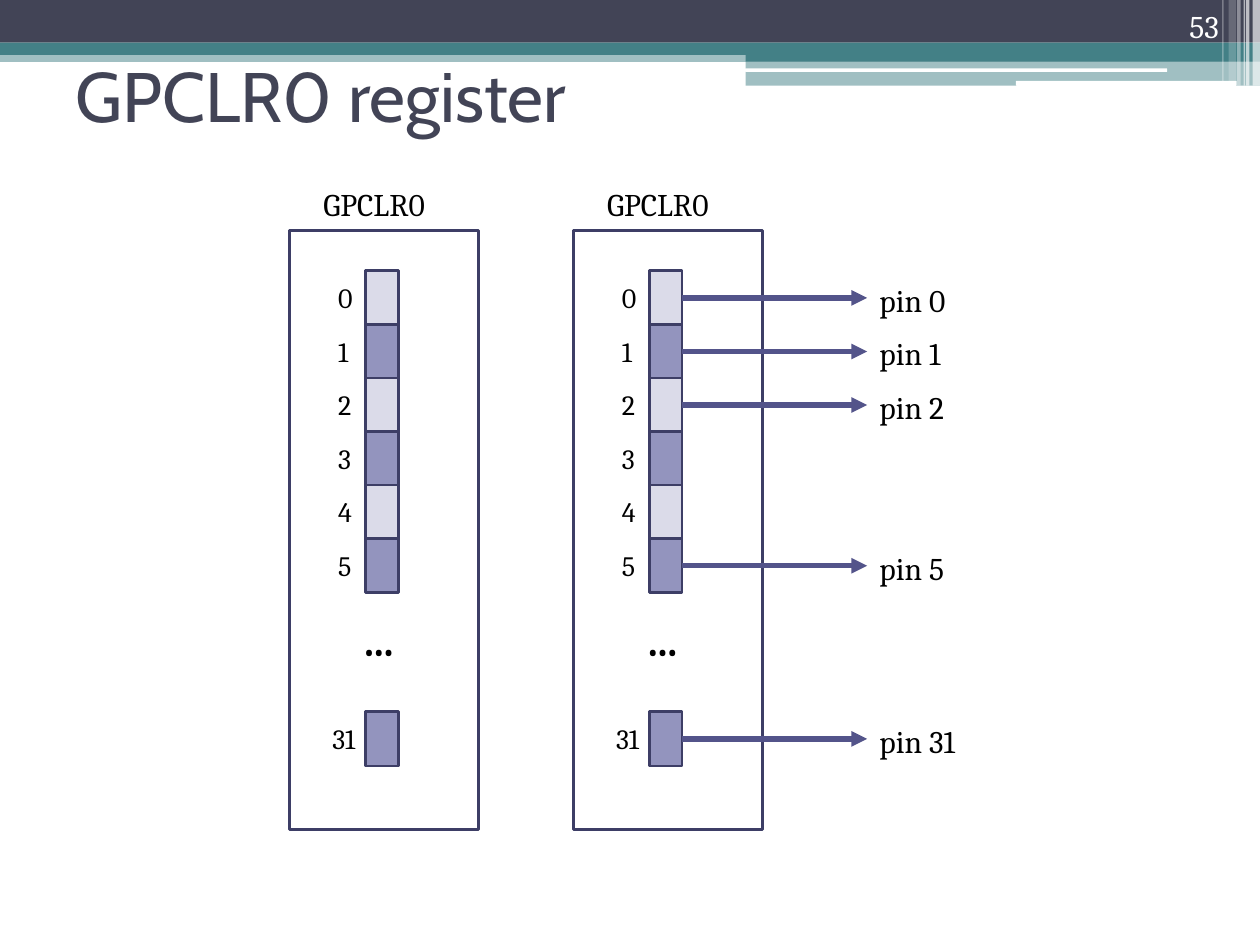
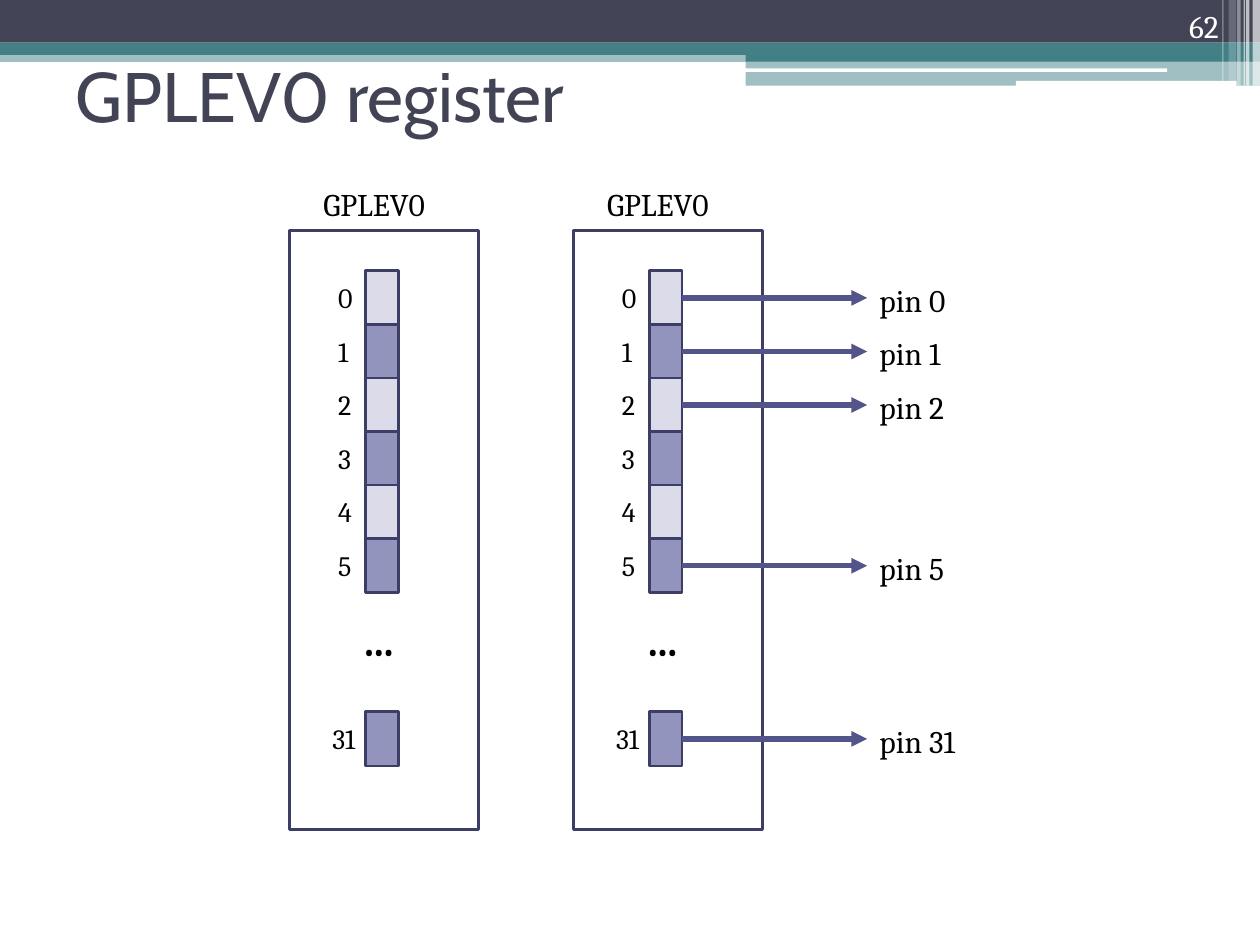
from dataclasses import dataclass

from lxml import etree
from pptx import Presentation
from pptx.dml.color import RGBColor
from pptx.enum.shapes import MSO_CONNECTOR, MSO_SHAPE
from pptx.enum.text import MSO_ANCHOR, MSO_AUTO_SIZE, PP_ALIGN
from pptx.oxml.ns import qn
from pptx.util import Cm, Pt

RECT = MSO_SHAPE.RECTANGLE
ROUNDED = MSO_SHAPE.ROUNDED_RECTANGLE
STRAIGHT = MSO_CONNECTOR.STRAIGHT
MIDDLE = MSO_ANCHOR.MIDDLE
TOP = MSO_ANCHOR.TOP
BOTTOM = MSO_ANCHOR.BOTTOM
NO_AUTOFIT = MSO_AUTO_SIZE.NONE
FIT_SHAPE = MSO_AUTO_SIZE.SHAPE_TO_FIT_TEXT
LEFT = PP_ALIGN.LEFT
RIGHT = PP_ALIGN.RIGHT
RIGHT_SIDE = 3
TITLE_ONLY = 5


@dataclass(frozen=True)
class Theme:
    navy: str = "424456"
    teal: str = "438086"
    white: str = "FFFFFF"
    black: str = "000000"
    even_bit: str = "DBDBE9"
    odd_bit: str = "9394BE"
    outline: str = "3D3E66"
    arrow: str = "53548A"
    title_font: str = "Cabin"
    body_font: str = "Cambria"
    title_size: int = 40
    ellipsis_size: int = 24
    label_size: int = 18
    bit_size: int = 16
    outline_width: float = 1.5
    arrow_width: float = 3


THEME = Theme()

HEADER_BANDS = [
    (RECT, 0, 1.02, 25.4, 0.23, THEME.teal, 50),
    (RECT, 0, 0, 25.4, 0.86, THEME.navy, 100),
    (RECT, 0, 0.86, 25.4, 0.25, THEME.teal, 100),
    (RECT, 15.03, 0.99, 10.37, 0.25, THEME.teal, 100),
    (RECT, 15.03, 1.23, 10.37, 0.5, THEME.teal, 50),
    (ROUNDED, 15.02, 1.38, 8.51, 0.07, THEME.white, 100),
    (ROUNDED, 20.48, 1.63, 4.45, 0.1, THEME.white, 100),
    (RECT, 25.25, 0, 0.15, 1.73, THEME.white, 65),
    (RECT, 25.12, 0, 0.07, 1.73, THEME.white, 65),
    (RECT, 25.07, 0, 0.03, 1.73, THEME.white, 60),
    (RECT, 24.94, 0, 0.07, 1.73, THEME.white, 40),
    (RECT, 24.77, 0, 0.15, 1.63, THEME.white, 20),
    (RECT, 24.64, 0, 0.03, 1.63, THEME.white, 30),
]

REGISTER_SLIDES = [("GPCLR0", 53), ("GPLEV0", 62)]
REGISTER_LEFTS = (5.84, 11.56)
REGISTER_TOP = 4.65
BITS = (0, 1, 2, 3, 4, 5, 31)
WIRED_BITS = (0, 1, 2, 5, 31)
CELL_TOP = 5.46
CELL_PITCH = 1.08
LAST_CELL_TOP = 14.35
CELL_WIDTH = 0.66
CELL_HEIGHT = 1.09
PIN_LEFT = 17.48


def rgb(value):
    return RGBColor.from_string(value)


def style_text(frame, text, size, color=THEME.black, font=THEME.body_font,
               align=LEFT, anchor=TOP, bold=False):
    frame.text = text
    frame.vertical_anchor = anchor
    paragraph = frame.paragraphs[0]
    paragraph.alignment = align
    paragraph.font.name = font
    paragraph.font.size = Pt(size)
    paragraph.font.bold = bold
    paragraph.font.color.rgb = rgb(color)


def add_label(shapes, text, left, top, width, height, size, bold=False):
    label = shapes.add_textbox(Cm(left), Cm(top), Cm(width), Cm(height))
    label.text_frame.word_wrap = False
    label.text_frame.auto_size = FIT_SHAPE
    style_text(label.text_frame, text, size, bold=bold)


def add_band(shapes, preset, left, top, width, height, color, opacity):
    band = shapes.add_shape(preset, Cm(left), Cm(top), Cm(width), Cm(height))
    band.shadow.inherit = False
    band.line.fill.background()
    band.fill.solid()
    band.fill.fore_color.rgb = rgb(color)
    if opacity < 100:
        tint = band.element.spPr.find(qn("a:solidFill"))[0]
        etree.SubElement(tint, qn("a:alpha"), val=str(opacity * 1000))
    return band


def add_outlined_box(shapes, left, top, width, height, fill=None):
    box = shapes.add_shape(RECT, Cm(left), Cm(top), Cm(width), Cm(height))
    box.shadow.inherit = False
    box.line.color.rgb = rgb(THEME.outline)
    box.line.width = Pt(THEME.outline_width)
    if fill:
        box.fill.solid()
        box.fill.fore_color.rgb = rgb(fill)
    else:
        box.fill.background()
    return box


def move_bands_to_layout(slide):
    layout_tree = slide.slide_layout.shapes.element
    for band_spec in HEADER_BANDS:
        layout_tree.append(add_band(slide.shapes, *band_spec).element)


def add_header(slide, title_text, number):
    title = slide.shapes.title
    title.left, title.top = Cm(1.27), Cm(0.43)
    title.width, title.height = Cm(22.86), Cm(2.97)
    title.text_frame.auto_size = NO_AUTOFIT
    style_text(title.text_frame, title_text, THEME.title_size, THEME.navy,
               THEME.title_font, anchor=MIDDLE)
    page = slide.shapes.add_textbox(Cm(22.71), Cm(0), Cm(2.11), Cm(1.02))
    page.text_frame.word_wrap = True
    style_text(page.text_frame, str(number), THEME.label_size, THEME.white,
               align=RIGHT, anchor=BOTTOM)


def add_bit(shapes, bit, register_left):
    top = LAST_CELL_TOP if bit == BITS[-1] else CELL_TOP + bit * CELL_PITCH
    fill = THEME.odd_bit if bit % 2 else THEME.even_bit
    cell = add_outlined_box(shapes, register_left + 1.53, top,
                            CELL_WIDTH, CELL_HEIGHT, fill)
    digits = str(bit)
    width = 0.6 + 0.23 * len(digits)
    add_label(shapes, digits, register_left + 1.14 - width / 2, top + 0.07,
              width, 0.94, THEME.bit_size)
    return cell


def add_register(slide, name, left):
    shapes = slide.shapes.add_group_shape().shapes
    cells = {bit: add_bit(shapes, bit, left) for bit in BITS}
    add_label(shapes, "…", left + 1.22, 12.27, 1.32, 1.27,
              THEME.ellipsis_size, bold=True)
    add_outlined_box(shapes, left, REGISTER_TOP, 3.81, 12.07)
    add_label(shapes, name, left + 0.43, 3.61, 3, 1.02, THEME.label_size)
    return cells


def add_pin(slide, bit, cell):
    middle = cell.top + cell.height // 2
    arrow = slide.shapes.add_connector(
        STRAIGHT, cell.left + cell.width, middle, Cm(PIN_LEFT), middle)
    arrow.begin_connect(cell, RIGHT_SIDE)
    arrow.line.color.rgb = rgb(THEME.arrow)
    arrow.line.width = Pt(THEME.arrow_width)
    properties = arrow.element.spPr
    etree.SubElement(properties.find(qn("a:ln")), qn("a:tailEnd"), type="triangle")
    etree.SubElement(properties, qn("a:effectLst"))
    width = 1.7 + 0.26 * len(str(bit))
    add_label(slide.shapes, f"pin {bit}", PIN_LEFT, Cm(middle / Cm(1)).cm - 0.47,
              width, 1.02, THEME.label_size)


def add_register_slide(presentation, name, number):
    slide = presentation.slides.add_slide(presentation.slide_layouts[TITLE_ONLY])
    add_header(slide, f"{name} register", number)
    for left in REGISTER_LEFTS:
        cells = add_register(slide, name, left)
    for bit in WIRED_BITS:
        add_pin(slide, bit, cells[bit])
    return slide


def main():
    presentation = Presentation()
    presentation.slide_width = Cm(25.4)
    presentation.slide_height = Cm(19.05)
    slides = [add_register_slide(presentation, name, number)
              for name, number in REGISTER_SLIDES]
    move_bands_to_layout(slides[0])
    presentation.save("out.pptx")


if __name__ == "__main__":
    main()
